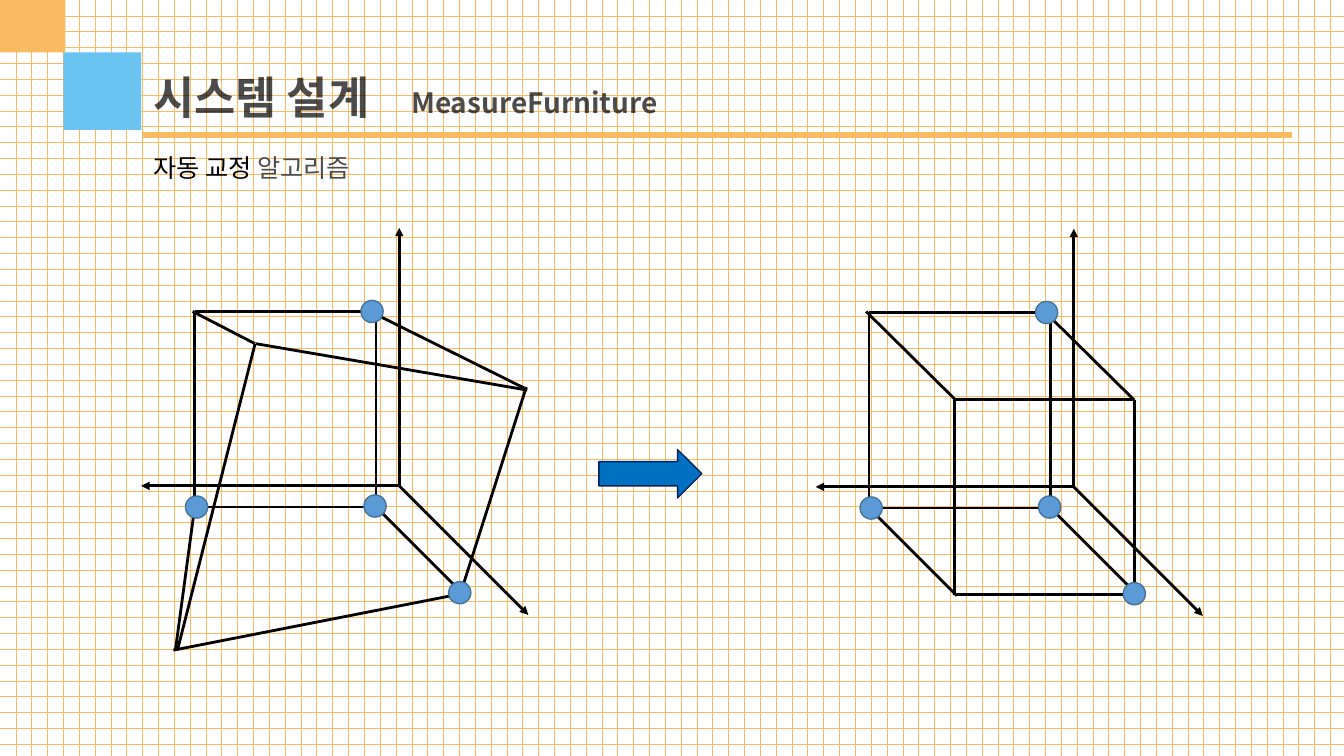
from dataclasses import dataclass

from lxml import etree
from pptx import Presentation
from pptx import util as u
from pptx.dml.color import RGBColor
from pptx.enum import dml, shapes, text
from pptx.oxml import ns

PX = 9144  # 100 px to the inch
FONT = "Noto Sans CJK KR"
BLACK, ORANGE = "000000", "F8BB62"
KIND = shapes.MSO_SHAPE


@dataclass
class Edge:
    x1: int
    y1: int
    x2: int
    y2: int


@dataclass
class Block:
    kind: KIND
    x: int
    y: int
    w: int
    h: int
    fill: str
    line: str = ""


@dataclass
class Run:
    words: str
    size: int
    color: str = BLACK
    bold: bool = False
    alpha: int = 100


@dataclass
class Label:
    x: int
    y: int
    w: int
    h: int
    runs: list[Run]


@dataclass
class Cube:
    """Origin of the axes, and the edges that differ between the cubes."""
    x: int
    y: int
    edges: list[Edge]


# Offsets from the origin of each cube
AXES = [Edge(0, 0, 0, -256), Edge(0, 0, -256, 0), Edge(0, 0, 128, 128)]
BACK = [
    Edge(-23, 21, -23, -173), Edge(-23, 21, -202, 21), Edge(-23, 21, 64, 108),
    Edge(-203, -173, -25, -173), Edge(-203, -173, -203, 21),
]
DOTS = [(-38, -184), (-35, 9), (-212, 10), (49, 95)]
DOT = 22

CUBES = [
    Cube(1065, 483, [
        Edge(60, -86, 60, 108), Edge(-118, -87, -118, 107),
        Edge(-118, -87, 60, -87), Edge(-118, -87, -206, -174),
        Edge(-203, 21, -116, 108), Edge(60, -86, -28, -173),
        Edge(-116, 107, 62, 107),
    ]),
    Cube(396, 482, [
        Edge(126, -98, 60, 109), Edge(-143, -141, -220, 163),
        Edge(-142, -141, 127, -95), Edge(-143, -141, -205, -173),
        Edge(-203, 22, -222, 163), Edge(124, -97, -27, -172),
        Edge(-224, 163, 62, 107),
    ]),
]

SQUARES = [
    Block(KIND.RECTANGLE, -12, -25, 77, 77, ORANGE),
    Block(KIND.RECTANGLE, 63, 52, 77, 77, "6AC3F0"),
]
ARROW = Block(KIND.RIGHT_ARROW, 594, 446, 102, 48, "0070C0", "002060")

LABELS = [
    Label(142, 64, 537, 64, [Run("시스템 설계", 32, bold=True, alpha=70)]),
    Label(398, 80, 537, 44, [Run("MeasureFurniture", 20, bold=True, alpha=70)]),
    Label(142, 146, 586, 40, [Run("자동 교정 ", 18), Run("알고리즘", 18, "4C4C4C")]),
]


def px(n: int) -> u.Emu:
    return u.Emu(n * PX)


def rgb(code: str) -> RGBColor:
    return RGBColor.from_string(code)


def add_tag(node, tag: str, **attrs: str):
    return etree.SubElement(node, ns.qn(tag), **attrs)


def add_block(slide, b: Block):
    shape = slide.shapes.add_shape(b.kind, px(b.x), px(b.y), px(b.w), px(b.h))
    shape.shadow.inherit = False
    shape.fill.solid()
    shape.fill.fore_color.rgb = rgb(b.fill)
    if b.line:
        shape.line.color.rgb = rgb(b.line)
        shape.line.width = u.Pt(1)
    else:
        shape.line.fill.background()
    return shape


def add_grid(slide) -> None:
    shape = add_block(slide, Block(KIND.RECTANGLE, 0, 0, 1333, 750, "FFFFFF"))
    shape.fill.patterned()
    shape.fill.pattern = dml.MSO_PATTERN.DOTTED_GRID
    shape.fill.fore_color.rgb = rgb(ORANGE)
    shape.fill.back_color.rgb = rgb("FFFFFF")


def add_edge(slide, e: Edge, x: int = 0, y: int = 0, color: str = BLACK,
             width: float = 2, head: bool = False) -> None:
    line = slide.shapes.add_connector(
        shapes.MSO_CONNECTOR.STRAIGHT,
        px(x + e.x1), px(y + e.y1), px(x + e.x2), px(y + e.y2))
    line.line.color.rgb = rgb(color)
    line.line.width = u.Pt(width)
    if head:
        add_tag(line.line._get_or_add_ln(), "a:tailEnd", type="triangle")
    add_tag(line._element.spPr, "a:effectLst")


def add_label(slide, label: Label) -> None:
    box = slide.shapes.add_textbox(
        px(label.x), px(label.y), px(label.w), px(label.h))
    frame = box.text_frame
    frame.word_wrap = True
    frame.auto_size = text.MSO_AUTO_SIZE.SHAPE_TO_FIT_TEXT
    for item in label.runs:
        run = frame.paragraphs[0].add_run()
        run.text = item.words
        run.font.size = u.Pt(item.size)
        run.font.bold = item.bold
        run.font.color.rgb = rgb(item.color)
        run.font.name = FONT
        props = run._r.get_or_add_rPr()
        add_tag(props, "a:ea", typeface=FONT)
        if item.alpha < 100:
            tint = props.find(".//" + ns.qn("a:srgbClr"))
            add_tag(tint, "a:alpha", val=str(item.alpha * 1000))


def add_cube(slide, cube: Cube) -> None:
    for axis in AXES:
        add_edge(slide, axis, cube.x, cube.y, head=True)
    for edge in BACK + cube.edges:
        add_edge(slide, edge, cube.x, cube.y)
    for x, y in DOTS:
        add_block(slide, Block(KIND.OVAL, cube.x + x, cube.y + y, DOT, DOT,
                               "5B9BD5", "43739E"))


def main() -> None:
    deck = Presentation()
    deck.slide_width, deck.slide_height = px(1333), px(750)
    slide = deck.slides.add_slide(deck.slide_layouts[6])
    add_grid(slide)
    for square in SQUARES:
        add_block(slide, square)
    add_edge(slide, Edge(141, 134, 1281, 134), color=ORANGE, width=3.75)
    for cube in CUBES:
        add_cube(slide, cube)
    add_block(slide, ARROW)
    for label in LABELS:
        add_label(slide, label)
    deck.save("out.pptx")


if __name__ == "__main__":
    main()
